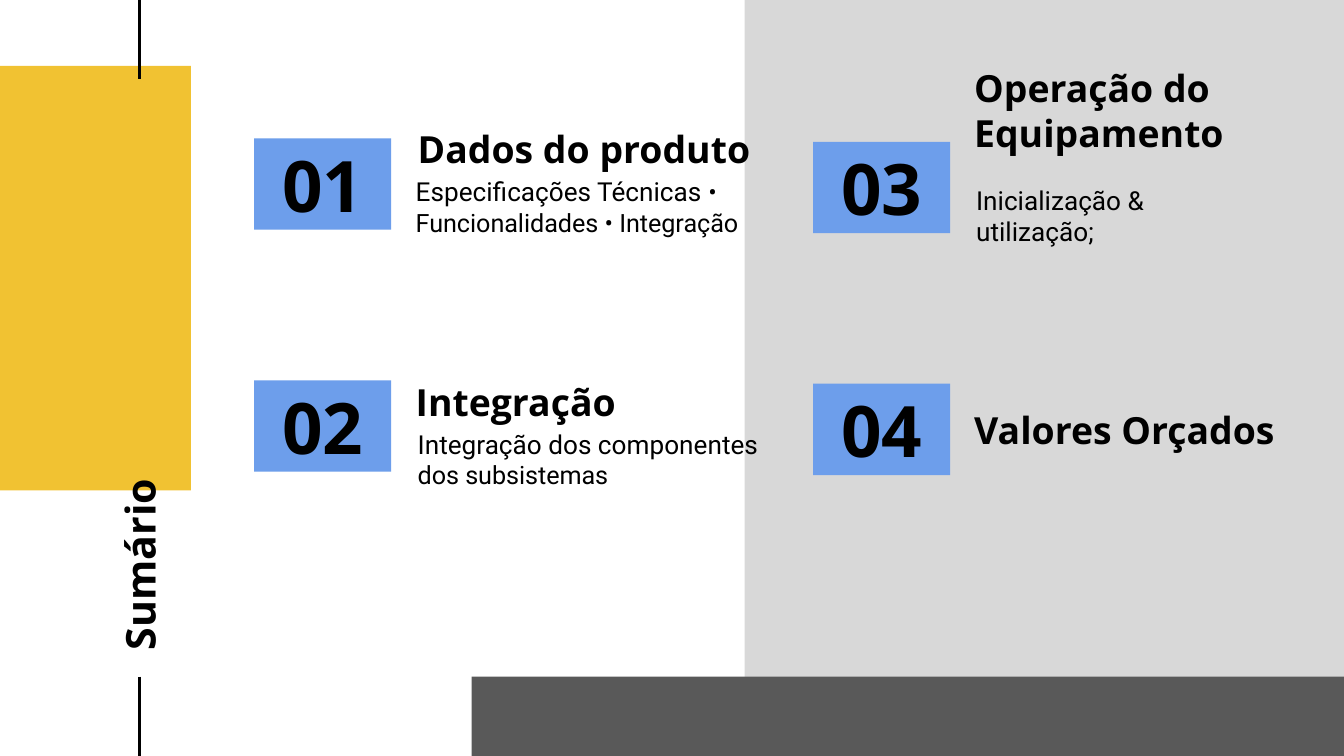
from lxml import etree
from pptx import Presentation
from pptx import util as u
from pptx.dml.color import RGBColor
from pptx.enum import shapes, text
from pptx.oxml.ns import qn

PX = 4572
COLORS = {
    "yellow": "F1C232",
    "light": "D8D8D8",
    "dark": "595959",
    "badge": "6D9EEB",
    "ink": "000000",
}
HEADING = "Open Sans"
BODY = "Roboto"


def emu(*lengths):
    return [u.Emu(length * PX) for length in lengths]


def color(name):
    return RGBColor.from_string(COLORS[name])


def add_rectangle(slide, box, fill):
    shape = slide.shapes.add_shape(shapes.MSO_SHAPE.RECTANGLE, *emu(*box))
    shape.shadow.inherit = False
    shape.fill.solid()
    shape.fill.fore_color.rgb = color(fill)
    shape.line.fill.background()
    return shape


def add_vertical_line(slide, x, top, bottom):
    line = slide.shapes.add_connector(
        shapes.MSO_CONNECTOR.STRAIGHT, *emu(x, top, x, bottom))
    line.line.color.rgb = color("ink")
    line.line.width = u.Pt(1.5)
    etree.SubElement(line._element.spPr, qn("a:effectLst"))


def write_text(shape, *runs, font=HEADING, bold=True,
               align=text.PP_ALIGN.LEFT,
               anchor=text.MSO_ANCHOR.MIDDLE, bottom=20):
    frame = shape.text_frame
    frame.word_wrap = True
    frame.vertical_anchor = anchor
    frame.margin_left, frame.margin_top, frame.margin_right, frame.margin_bottom = emu(
        20, 20, 20, bottom)
    paragraph = frame.paragraphs[0]
    paragraph.alignment = align
    for words, size in runs:
        run = paragraph.add_run()
        run.text = words
        run.font.name = font
        run.font.size = u.Pt(size)
        run.font.bold = bold
        run.font.color.rgb = color("ink")


def add_text(slide, box, *runs, rotation=0, **style):
    shape = slide.shapes.add_textbox(*emu(*box))
    shape.rotation = rotation
    write_text(shape, *runs, **style)


def add_backdrop(slide, width, height):
    band_left, band_top = 702, 1007
    panel_left = 1108
    line_x = 208
    add_rectangle(slide, (-92, 98, 376, 632), "yellow")
    add_vertical_line(slide, line_x, -294, 117)
    add_vertical_line(slide, line_x, band_top, 1420)
    add_rectangle(slide, (panel_left, 0, width - panel_left, height), "light")
    add_rectangle(
        slide, (band_left, band_top, width - band_left, height - band_top), "dark")


def add_side_title(slide, box):
    add_text(slide, box, ("Sumário", 22), rotation=270)


def add_entry(slide, left, top, number, heading, heading_box,
              details=(), details_box=None, **heading_style):
    def place(box):
        x, y, width, height = box
        return left + x, top + y, width, height

    badge = add_rectangle(slide, (left, top, 204, 136), "badge")
    write_text(badge, (number, 38), align=text.PP_ALIGN.CENTER)
    add_text(slide, place(heading_box), (heading, 20), **heading_style)
    if details:
        add_text(slide, place(details_box), *details, font=BODY, bold=False)


def main():
    width, height = 2000, 1125
    presentation = Presentation()
    presentation.slide_width, presentation.slide_height = emu(width, height)
    slide = presentation.slides.add_slide(presentation.slide_layouts[6])

    add_backdrop(slide, width, height)
    add_side_title(slide, (-218, 510, 850, 104))

    left_column, right_column = 378, 1210
    left_top, right_top, row_step = 206, 211, 360
    add_entry(slide, left_column, left_top, "01",
              "Dados do produto", (224, -42, 588, 114),
              [("Especificações Técnicas ", 14),
               ("• Funcionalidades • Integração", 13.5)],
              (221, 33, 556, 136))
    add_entry(slide, left_column, left_top + row_step, "02",
              "Integração", (221, -20, 414, 102),
              [("Integração dos componentes ", 14), ("dos subsistemas", 13.5)],
              (224, 70, 566, 94))
    add_entry(slide, right_column, right_top, "03",
              "Operação do Equipamento", (220, -73, 414, 122),
              [("Inicialização & utilização;", 14)],
              (223, 29, 414, 162),
              anchor=text.MSO_ANCHOR.BOTTOM, bottom=30)
    add_entry(slide, right_column, right_top + row_step, "04",
              "Valores Orçados", (220, 31, 508, 74))

    presentation.save("out.pptx")


if __name__ == "__main__":
    main()
